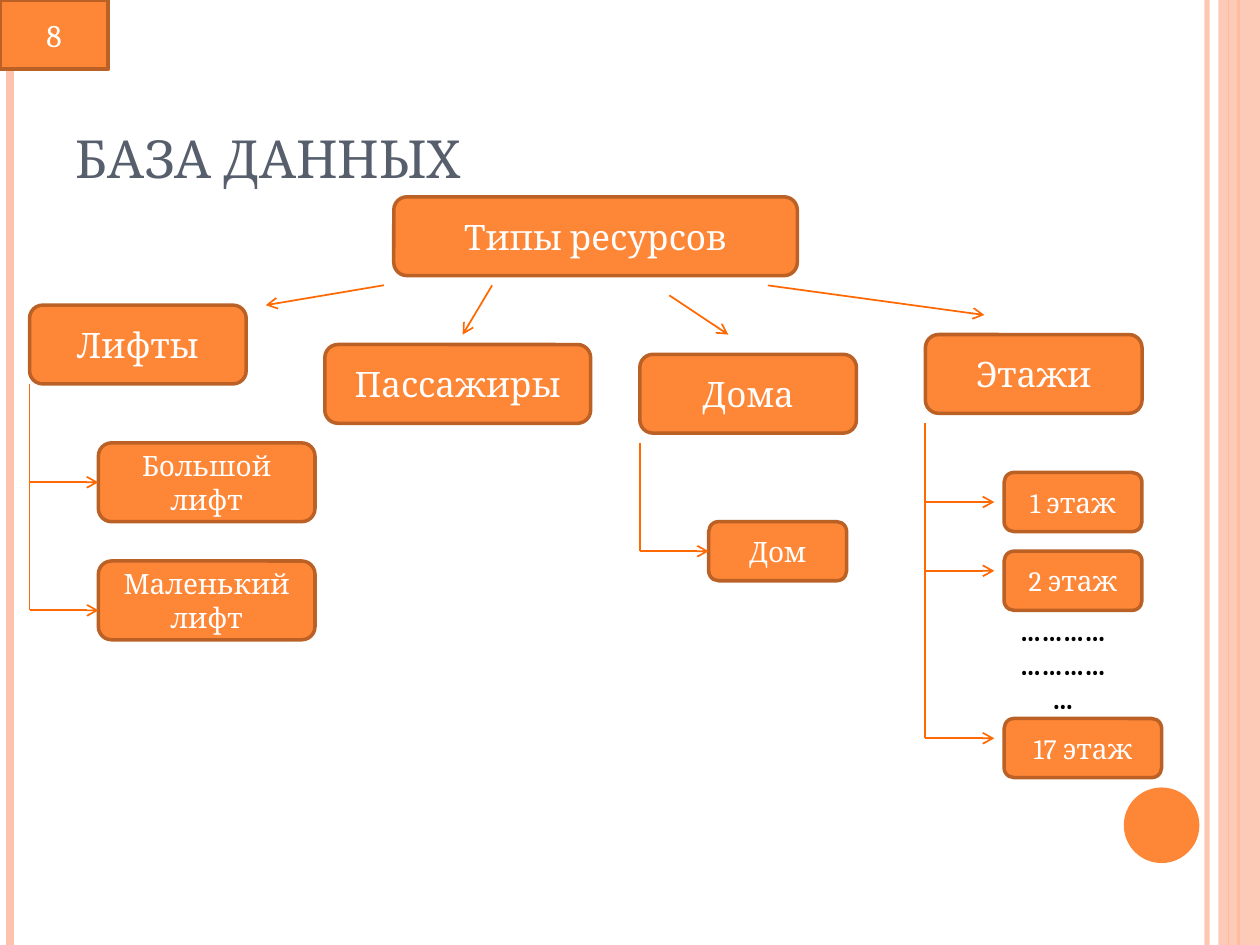
import pptx
import pptx.util
import pptx.dml.color
import pptx.enum.shapes
import pptx.enum.text
import pptx.oxml
import pptx.oxml.ns
from dataclasses import dataclass

Pt = pptx.util.Pt
SHAPE = pptx.enum.shapes.MSO_SHAPE
ALIGN = pptx.enum.text.PP_ALIGN
ANCHOR = pptx.enum.text.MSO_ANCHOR


@dataclass(frozen=True)
class Theme:
    font: str = "Cambria"
    orange: str = "FE8637"
    border: str = "BB6126"
    arrow: str = "FF6903"
    pale: str = "FEC3AE"
    title: str = "575F6D"
    white: str = "FFFFFF"
    black: str = "000000"
    title_size: int = 30
    type_size: int = 20
    number_size: int = 18
    item_size: int = 16


THEME = Theme()
WIDTH, HEIGHT = 720, 540

# Vertical rules: x, colour, line width, opacity in percent
RULES = [
    (689.8, THEME.pale, 3, 93),
    (5.8, THEME.pale, 4.5, 100),
    (707.8, THEME.orange, 1.5, 100),
    (702, THEME.orange, 0.75, 100),
]
STRIP = (696.2, 0, 23.8, HEIGHT)
DISC = (642.2, 450, 43.2, 43.2)

TITLE = ("БАЗА ДАННЫХ", (36, 21.6, 588, 90))
NUMBER = ("8", (0, 0, 61.9, 39.6))
DOTS = ("…" * 9, (568.1, 354.4, 78.5, 50.4))

# Text: left, top, width, height
TYPES = {
    "Типы ресурсов": (225, 112.5, 230.6, 45),
    "Лифты": (16.9, 174.4, 123.8, 45),
    "Пассажиры": (185.6, 196.9, 151.9, 45),
    "Дома": (365.6, 202.5, 123.8, 45),
    "Этажи": (528.8, 191.2, 123.8, 45),
}
ITEMS = {
    "Большой лифт": (56.2, 253.1, 123.8, 45),
    "Маленький лифт": (56.2, 320.6, 123.8, 45),
    "Дом": (405, 298.1, 78.8, 33.8),
    "1 этаж": (573.8, 270, 78.8, 33.8),
    "2 этаж": (573.8, 315, 78.8, 33.8),
    "17 этаж": (573.8, 410.6, 90, 33.8),
}
# Arrows from the root to each type: start x, y, end x, y
ROOT_ARROWS = [
    (219.4, 163, 151.9, 174.4),
    (281.2, 163.1, 264.4, 191.2),
    (382.5, 168.8, 416.2, 191.2),
    (438.8, 163.1, 562.5, 180),
]
# Trunk x, trunk top, branches as (y, item joined or None)
BRANCH = 39.4
TREES = [
    (16.9, 219.4, [(275.6, "Большой лифт"), (348.8, None)]),
    (365.6, 253.1, [(315, "Дом")]),
    (528.8, 241.9, [(286.9, None), (326.2, None), (421.9, None)]),
]


def rgb(colour):
    return pptx.dml.color.RGBColor.from_string(colour)


def set_opacity(fill_format, percent):
    colour = fill_format._xPr.find(".//" + pptx.oxml.ns.qn("a:srgbClr"))
    alpha = pptx.oxml.parse_xml(
        f'<a:alpha {pptx.oxml.ns.nsdecls("a")} val="{percent * 1000}"/>')
    colour.append(alpha)


def write(sp, text, size, colour=THEME.white, bold=False,
          align=ALIGN.CENTER, anchor=ANCHOR.MIDDLE):
    tf = sp.text_frame
    tf.word_wrap = True
    tf.vertical_anchor = anchor
    p = tf.paragraphs[0]
    p.alignment = align
    r = p.add_run()
    r.text = text
    r.font.name, r.font.size, r.font.bold = THEME.font, Pt(size), bold
    r.font.color.rgb = rgb(colour)


def add_box(s, place, kind=SHAPE.ROUNDED_RECTANGLE, fill=THEME.orange, border=THEME.border):
    sp = s.shapes.add_shape(kind, *map(Pt, place))
    sp.shadow.inherit = False
    sp.fill.solid()
    sp.fill.fore_color.rgb = rgb(fill)
    if border:
        sp.line.color.rgb = rgb(border)
        sp.line.width = Pt(2)
    else:
        sp.line.fill.background()
    return sp


def add_line(s, x1, y1, x2, y2, colour=THEME.arrow, width=1, arrow=False):
    line = s.shapes.add_connector(
        pptx.enum.shapes.MSO_CONNECTOR.STRAIGHT, *map(Pt, (x1, y1, x2, y2)))
    line.line.color.rgb = rgb(colour)
    line.line.width = Pt(width)
    ns = pptx.oxml.ns.nsdecls("a")
    if arrow:
        line.line._get_or_add_ln().append(
            pptx.oxml.parse_xml(f'<a:tailEnd {ns} type="arrow"/>'))
    line._element.spPr.append(pptx.oxml.parse_xml(f"<a:effectLst {ns}/>"))
    return line


def add_frame(s):
    for x, colour, width, opacity in RULES:
        line = add_line(s, x, 0, x, HEIGHT, colour, width)
        if opacity < 100:
            set_opacity(line.line.fill, opacity)
    strip = add_box(s, STRIP, SHAPE.RECTANGLE, THEME.pale, None)
    set_opacity(strip.fill, 87)
    add_box(s, DISC, SHAPE.OVAL, border=None)
    write(add_box(s, NUMBER[1], SHAPE.RECTANGLE), NUMBER[0], THEME.number_size)


def add_title(s):
    text, place = TITLE
    title = s.shapes.title
    title.left, title.top, title.width, title.height = map(Pt, place)
    write(title, text, THEME.title_size, THEME.title,
          align=ALIGN.LEFT, anchor=ANCHOR.BOTTOM)


def add_diagram(s):
    boxes = {}
    for group, size in ((TYPES, THEME.type_size), (ITEMS, THEME.item_size)):
        for text, place in group.items():
            boxes[text] = add_box(s, place)
            write(boxes[text], text, size)
    for ends in ROOT_ARROWS:
        add_line(s, *ends, arrow=True)
    for x, top, branches in TREES:
        add_line(s, x, top, x, branches[-1][0])
        for y, item in branches:
            line = add_line(s, x, y, x + BRANCH, y, arrow=True)
            if item:
                line.end_connect(boxes[item], 1)
    text, place = DOTS
    dots = s.shapes.add_textbox(*map(Pt, place))
    dots.text_frame.margin_left = dots.text_frame.margin_right = Pt(10)
    write(dots, text, THEME.item_size, THEME.black, bold=True)


def main():
    prs = pptx.Presentation()
    prs.slide_width, prs.slide_height = Pt(WIDTH), Pt(HEIGHT)
    s = prs.slides.add_slide(prs.slide_layouts[5])
    add_frame(s)
    add_title(s)
    add_diagram(s)
    prs.save("out.pptx")


if __name__ == "__main__":
    main()
